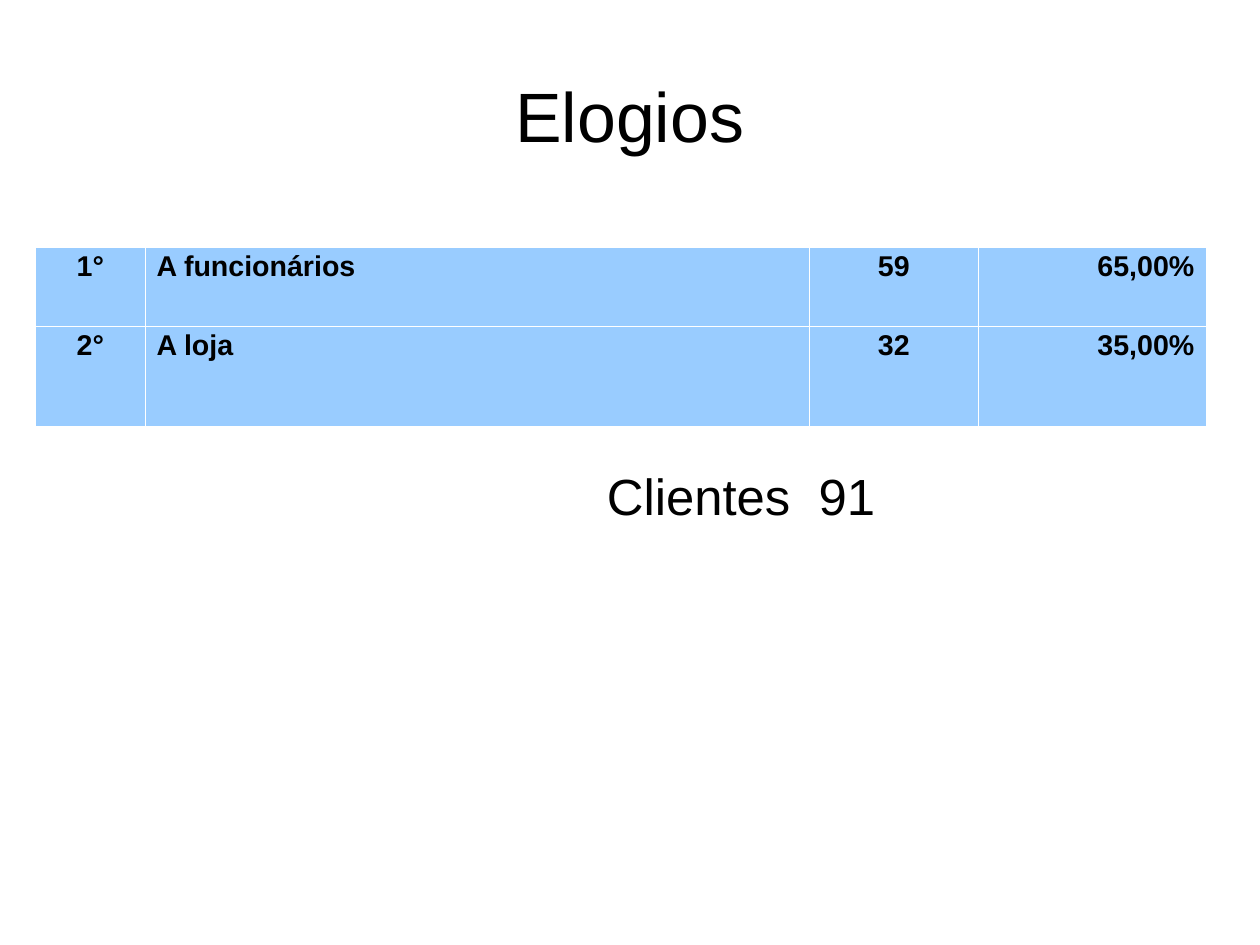
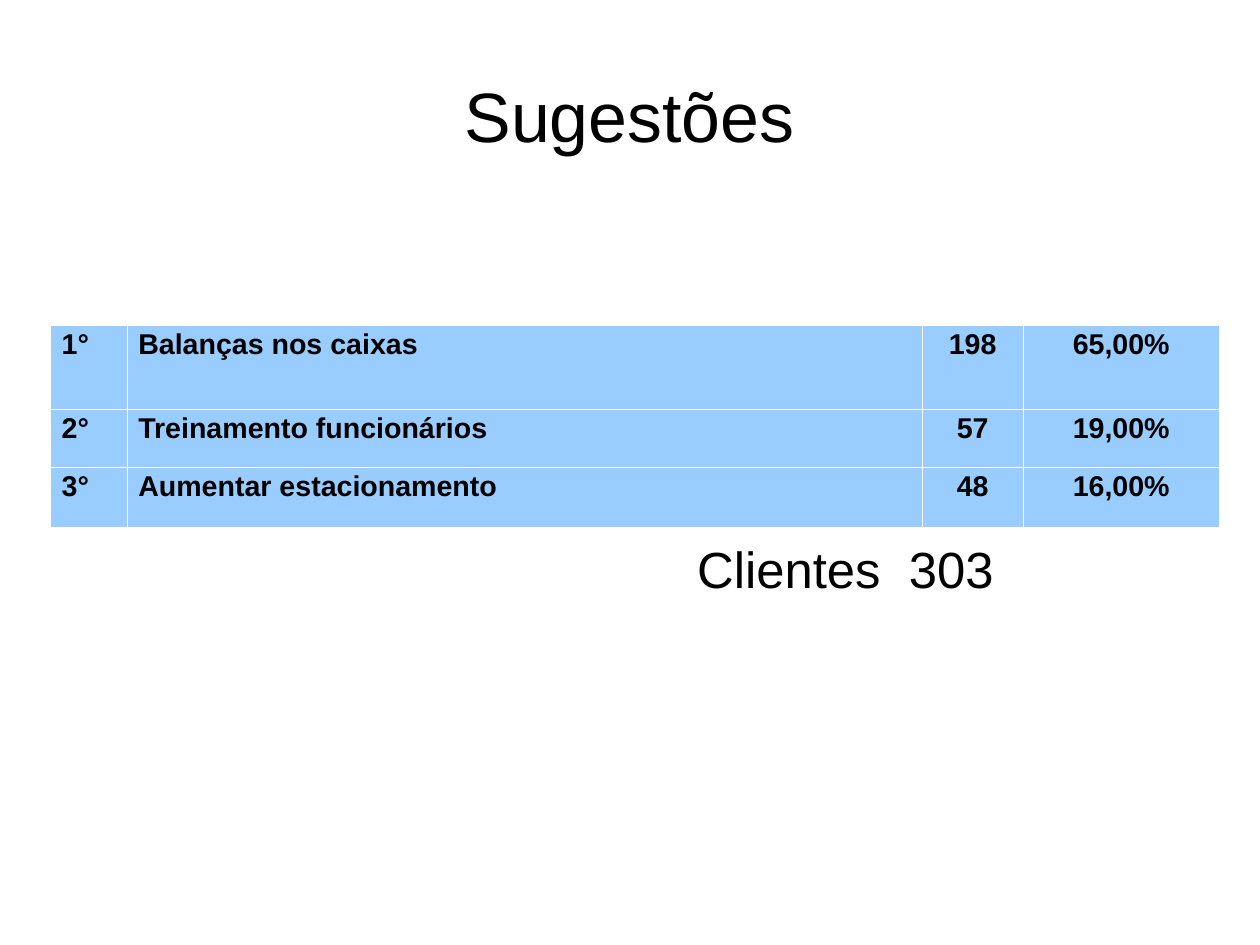
from lxml import etree
from pptx import Presentation
from pptx.dml.color import RGBColor
from pptx.enum.text import MSO_ANCHOR, PP_ALIGN
from pptx.oxml.ns import qn
from pptx.util import Cm, Inches, Pt

COLORS = {"text": "000000", "cell": "99CCFF", "border": "FFFFFF"}
FONT = "Arial"
LEFT, CENTER, RIGHT = PP_ALIGN.LEFT, PP_ALIGN.CENTER, PP_ALIGN.RIGHT
TITLE_BOX = (0.55, 0.33, 9.92, 1.38)

SLIDES = [
    {
        "title": "Elogios",
        "rows": [("1°", "A funcionários", "59", "65,00%"),
                 ("2°", "A loja", "32", "35,00%")],
        "position": (0.31, 2.16),
        "widths": (0.96, 5.81, 1.48, 1.99),
        "heights": (0.69, 0.88),
        "alignments": (CENTER, LEFT, CENTER, RIGHT),
        "total": "Clientes  91",
        "total_box": (5.31, 4.13, 2.95, 0.5),
        "total_spacing": 0.83,
    },
    {
        "title": "Sugestões",
        "rows": [("1°", "Balanças nos caixas", "198", "65,00%"),
                 ("2°", "Treinamento funcionários", "57", "19,00%"),
                 ("3°", "Aumentar estacionamento", "48", "16,00%")],
        "position": (0.44, 2.84),
        "widths": (0.67, 6.96, 0.88, 1.72),
        "heights": (0.74, 0.51, 0.52),
        "alignments": (LEFT, LEFT, CENTER, CENTER),
        "total": "Clientes  303",
        "total_box": (6.1, 4.72, 3.54, 0.59),
        "total_spacing": 0.93,
    },
]


def write_text(frame, content, size, bold=False, align=LEFT, spacing=0.93):
    paragraph = frame.paragraphs[0]
    paragraph.alignment = align
    paragraph.line_spacing = spacing
    run = paragraph.add_run()
    run.text = content
    run.font.name = FONT
    run.font.size = Pt(size)
    run.font.bold = bold
    run.font.color.rgb = RGBColor.from_string(COLORS["text"])


def add_label(slide, content, box, size, top_inset, anchor=MSO_ANCHOR.TOP, **style):
    frame = slide.shapes.add_textbox(*map(Inches, box)).text_frame
    frame.word_wrap = True
    frame.vertical_anchor = anchor
    frame.margin_left = frame.margin_right = frame.margin_bottom = 0
    frame.margin_top = Inches(top_inset)
    write_text(frame, content, size, **style)


def format_cell(cell):
    properties = cell._tc.get_or_add_tcPr()
    for side in ("lnL", "lnR", "lnT", "lnB"):
        line = etree.SubElement(properties, qn(f"a:{side}"), w=str(Pt(0.06)))
        fill = etree.SubElement(line, qn("a:solidFill"))
        etree.SubElement(fill, qn("a:srgbClr"), val=COLORS["border"])
    cell.fill.solid()
    cell.fill.fore_color.rgb = RGBColor.from_string(COLORS["cell"])
    cell.margin_left = cell.margin_right = Inches(0.1)
    cell.margin_top = cell.margin_bottom = Inches(0.05)


def add_ranking(slide, content):
    widths, heights = content["widths"], content["heights"]
    box = (*content["position"], sum(widths), sum(heights))
    table = slide.shapes.add_table(len(heights), len(widths), *map(Inches, box)).table
    table.first_row = table.horz_banding = False
    for column, width in zip(table.columns, widths):
        column.width = Inches(width)
    for row, height, values in zip(table.rows, heights, content["rows"]):
        row.height = Inches(height)
        for cell, value, align in zip(row.cells, values, content["alignments"]):
            format_cell(cell)
            write_text(cell.text_frame, value, 18, bold=True, align=align)


def main():
    presentation = Presentation()
    presentation.slide_width = Cm(28)
    presentation.slide_height = Cm(21)
    for content in SLIDES:
        slide = presentation.slides.add_slide(presentation.slide_layouts[6])
        add_label(slide, content["title"], TITLE_BOX, 44, 0.04,
                  anchor=MSO_ANCHOR.MIDDLE, align=CENTER)
        add_ranking(slide, content)
        add_label(slide, content["total"], content["total_box"], 32, 0.03,
                  spacing=content["total_spacing"])
    presentation.save("out.pptx")


if __name__ == "__main__":
    main()
